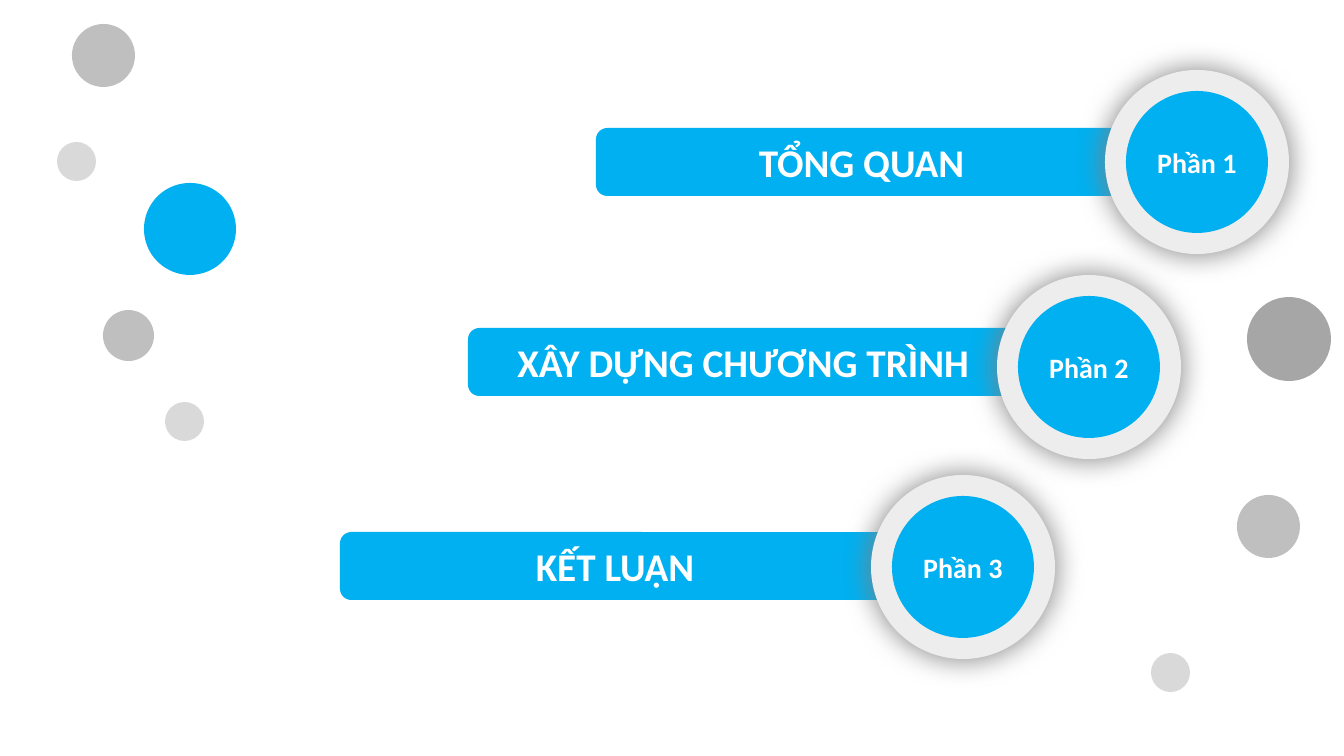
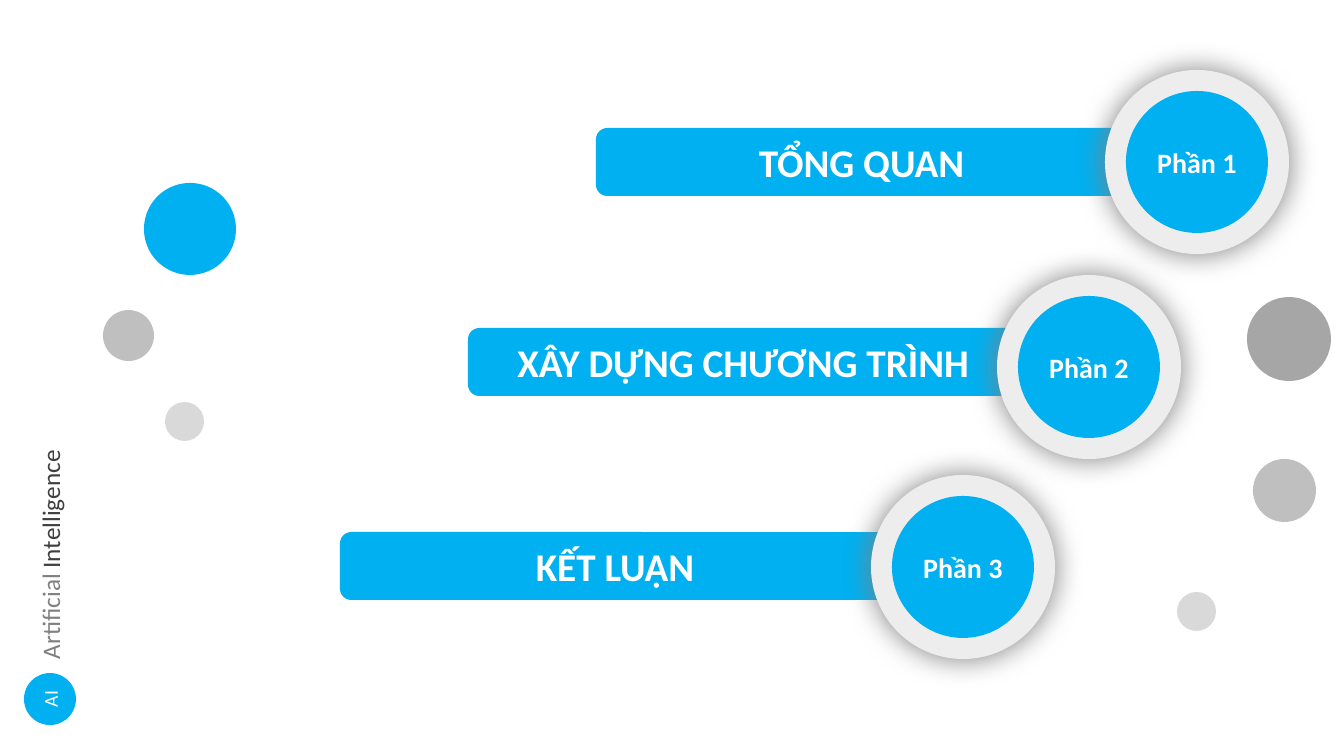
"""Build two agenda slides with numbered section bars and scattered dots."""
from lxml import etree
from pptx import Presentation
from pptx.dml.color import RGBColor
from pptx.enum.shapes import MSO_SHAPE
from pptx.enum.text import MSO_ANCHOR, PP_ALIGN
from pptx.oxml.ns import qn
from pptx.util import Pt

ELLIPSE, ROUND_RECT = MSO_SHAPE.OVAL, MSO_SHAPE.ROUNDED_RECTANGLE
CENTER, MIDDLE = PP_ALIGN.CENTER, MSO_ANCHOR.MIDDLE
SCALE = 914400 / 100.8
FONT = "Calibri"
COLORS = {
    "accent": "00B0F0", "white": "FFFFFF", "ring": "EDEDED",
    "shadow": "808080", "dark": "A6A6A6", "mid": "BFBFBF", "light": "D9D9D9",
    "label": "808080", "label_strong": "404040",
}
BAR_H, RING, DISC = 68, 184, 142
SECTIONS = [
    ("TỔNG QUAN", "Phần 1", (596, 128, 531), (1105, 70)),
    ("XÂY DỰNG CHƯƠNG TRÌNH", "Phần 2", (468, 328, 550), (997, 275)),
    ("KẾT LUẬN", "Phần 3", (340, 532, 550), (871, 475)),
]
SHARED_DOTS = [
    (144, 183, 92, "accent"), (103, 310, 51, "mid"),
    (165, 402, 39, "light"), (1247, 297, 84, "dark"),
]
OPENING_DOTS = [
    (72, 24, 63, "mid"), (57, 142, 39, "light"),
    (1237, 495, 63, "mid"), (1151, 653, 39, "light"),
]
LABELLED_DOTS = [(1253, 459, 63, "mid"), (1177, 592, 39, "light")]


def px(*lengths):
    """Turn pixel lengths into EMU."""
    return [round(n * SCALE) for n in lengths]


def rgb(name):
    """Look up a palette colour."""
    return RGBColor.from_string(COLORS[name])


def style_run(r, size, color, bold=False):
    """Set the font of one run."""
    r.font.name, r.font.size, r.font.bold = FONT, Pt(size), bold
    r.font.color.rgb = rgb(color)


def add_shape(shapes, kind, box, color, text="", size=20, bold=True):
    """Add a flat shape with optional centred white text."""
    sp = shapes.add_shape(kind, *px(*box))
    sp.shadow.inherit = False
    sp.fill.solid()
    sp.fill.fore_color.rgb = rgb(color)
    sp.line.fill.background()
    if text:
        tf = sp.text_frame
        tf.text, tf.word_wrap, tf.vertical_anchor = text, True, MIDDLE
        p = tf.paragraphs[0]
        p.alignment = CENTER
        style_run(p.runs[0], size, "white", bold)
    return sp


def add_glow(sp, blur):
    """Give a shape a soft shadow on all sides."""
    effects = sp._element.spPr.find(qn("a:effectLst"))
    shadow = etree.SubElement(effects, qn("a:outerShdw"), blurRad=str(Pt(blur)),
                              dist="0", dir="0", algn="ctr", rotWithShape="0")
    etree.SubElement(shadow, qn("a:srgbClr"), val=COLORS["shadow"])


def add_badge(s, x, y, text):
    """Group a glowing ring with a labelled disc centred in it."""
    shapes = s.shapes.add_group_shape().shapes
    add_glow(add_shape(shapes, ELLIPSE, (x, y, RING, RING), "ring"), 21)
    inset = (RING - DISC) // 2
    add_shape(shapes, ELLIPSE, (x + inset, y + inset, DISC, DISC), "accent", text)


def add_sections(s):
    """Place the section bars, then their badges on top."""
    for title, _, (x, y, w), _ in SECTIONS:
        add_shape(s.shapes, ROUND_RECT, (x, y, w, BAR_H), "accent", title, 28)
    for _, part, (x, y), _ in [(t, n, at, b) for t, n, b, at in SECTIONS]:
        add_badge(s, x, y, part)


def add_dots(s, dots):
    """Scatter plain dots."""
    for x, y, d, color in dots:
        add_shape(s.shapes, ELLIPSE, (x, y, d, d), color)


def add_side_label(s, x, y, w, h):
    """Run the topic name up the box, with a round mark at its foot."""
    mark = add_shape(s.shapes, ELLIPSE, (x, y + h - w, w, w), "accent", "AI", 14, False)
    mark.rotation = 270
    length, height = h - w - 4, 40
    mid_x, mid_y = x + w / 2, y + length / 2
    tb = s.shapes.add_textbox(*px(mid_x - length / 2, mid_y - height / 2, length, height))
    tb.rotation = 270
    tf = tb.text_frame
    tf.word_wrap = False
    p = tf.paragraphs[0]
    p.text = "Artificial "
    p.add_run().text = "Intelligence"
    for r, color in zip(p.runs, ("label", "label_strong")):
        style_run(r, 18, color)


def add_agenda(prs, dots):
    """Add an agenda slide with its own extra dots."""
    s = prs.slides.add_slide(prs.slide_layouts[6])
    add_sections(s)
    add_dots(s, SHARED_DOTS + dots)
    return s


def main():
    """Build and save the deck."""
    prs = Presentation()
    prs.slide_width, prs.slide_height = px(1344, 756)
    add_agenda(prs, OPENING_DOTS)
    s = add_agenda(prs, LABELLED_DOTS)
    add_side_label(s, 24, 437, 52, 288)
    prs.save("out.pptx")


if __name__ == "__main__":
    main()
